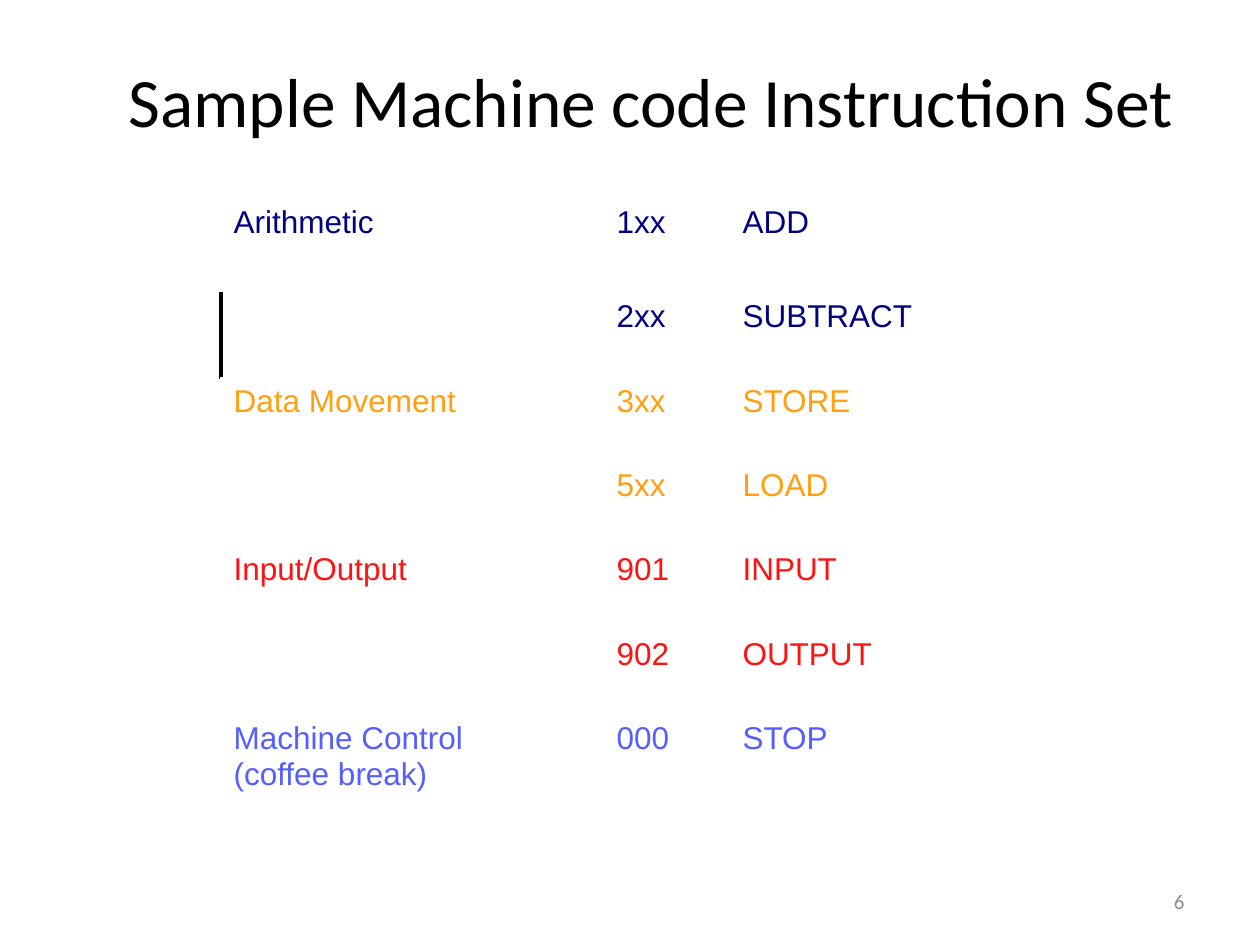
from dataclasses import dataclass

from lxml.etree import SubElement
from pptx import Presentation
from pptx.dml.color import RGBColor
from pptx.enum.text import MSO_ANCHOR, MSO_AUTO_SIZE, PP_ALIGN
from pptx.oxml.ns import qn
from pptx.slide import Slide
from pptx.util import Inches, Pt

NAVY, ORANGE, RED, VIOLET = "000080", "FF9F11", "FD1313", "555FFF"
INSTRUCTIONS = [
    ("Arithmetic", "1xx", "ADD", NAVY),
    ("", "2xx", "SUBTRACT", NAVY),
    ("Data Movement", "3xx", "STORE", ORANGE),
    ("", "5xx", "LOAD", ORANGE),
    ("Input/Output", "901", "INPUT", RED),
    ("", "902", "OUTPUT", RED),
    ("Machine Control\n(coffee break)", "000", "STOP", VIOLET),
]
COLUMN_WIDTHS = [383, 126, 202]
ROW_HEIGHTS = [94, 85, 84, 84, 85, 84, 88]


def px(length):
    return round(length * Inches(1) / 126)


def color(value):
    return RGBColor.from_string(value)


@dataclass
class SlideBuilder:
    """Draws styled elements on the current slide."""

    slide: Slide
    heading_font: str = "Calibri"
    table_font: str = "Arial"

    def add_text(self, frame, text, font, size, fill, align=PP_ALIGN.LEFT):
        paragraph = frame.paragraphs[0]
        paragraph.alignment = align
        for index, line in enumerate(text.split("\n")):
            if index:
                paragraph.add_line_break()
            run = paragraph.add_run()
            run.text = line
            run.font.name = font
            run.font.size = Pt(size)
            run.font.color.rgb = color(fill)

    def place(self, shape, left, top, width, height):
        shape.left, shape.top = px(left), px(top)
        shape.width, shape.height = px(width), px(height)
        frame = shape.text_frame
        frame.word_wrap = True
        frame.auto_size = MSO_AUTO_SIZE.NONE
        frame.vertical_anchor = MSO_ANCHOR.MIDDLE
        return frame

    def title(self, text, *box):
        frame = self.place(self.slide.shapes.title, *box)
        self.add_text(frame, text, self.heading_font, 39.6, "000000", PP_ALIGN.CENTER)

    def page_number(self, text, *box):
        shape = self.slide.shapes.add_textbox(0, 0, 0, 0)
        frame = self.place(shape, *box)
        self.add_text(frame, text, self.heading_font, 12, "8C8C8C", PP_ALIGN.RIGHT)

    def table(self, rows, left, top, widths, heights):
        table = self.slide.shapes.add_table(
            len(rows), len(widths), px(left), px(top), px(sum(widths)), px(sum(heights))
        ).table
        table.first_row = table.horz_banding = False
        for column, width in zip(table.columns, widths):
            column.width = px(width)
        for row, height, (*texts, fill) in zip(table.rows, heights, rows):
            row.height = px(height)
            for cell, text in zip(row.cells, texts):
                cell.fill.background()
                if text:
                    self.add_text(cell.text_frame, text, self.table_font, 18, fill)
        return table

    def left_border(self, cell, width, fill):
        properties = cell._tc.get_or_add_tcPr()
        line = SubElement(properties, qn("a:lnL"), w=str(Pt(width)))
        solid = SubElement(line, qn("a:solidFill"))
        SubElement(solid, qn("a:srgbClr"), val=fill)
        properties.insert(0, line)


def main():
    presentation = Presentation()
    presentation.slide_width, presentation.slide_height = px(1260), px(945)
    builder = SlideBuilder(presentation.slides.add_slide(presentation.slide_layouts[5]))
    builder.title("Sample Machine code Instruction Set", 63, 21, 1176, 158)
    table = builder.table(INSTRUCTIONS, 221, 199, COLUMN_WIDTHS, ROW_HEIGHTS)
    builder.left_border(table.cell(1, 0), 2.25, "000000")
    builder.page_number("6", 903, 876, 294, 50)
    presentation.save("out.pptx")


if __name__ == "__main__":
    main()
